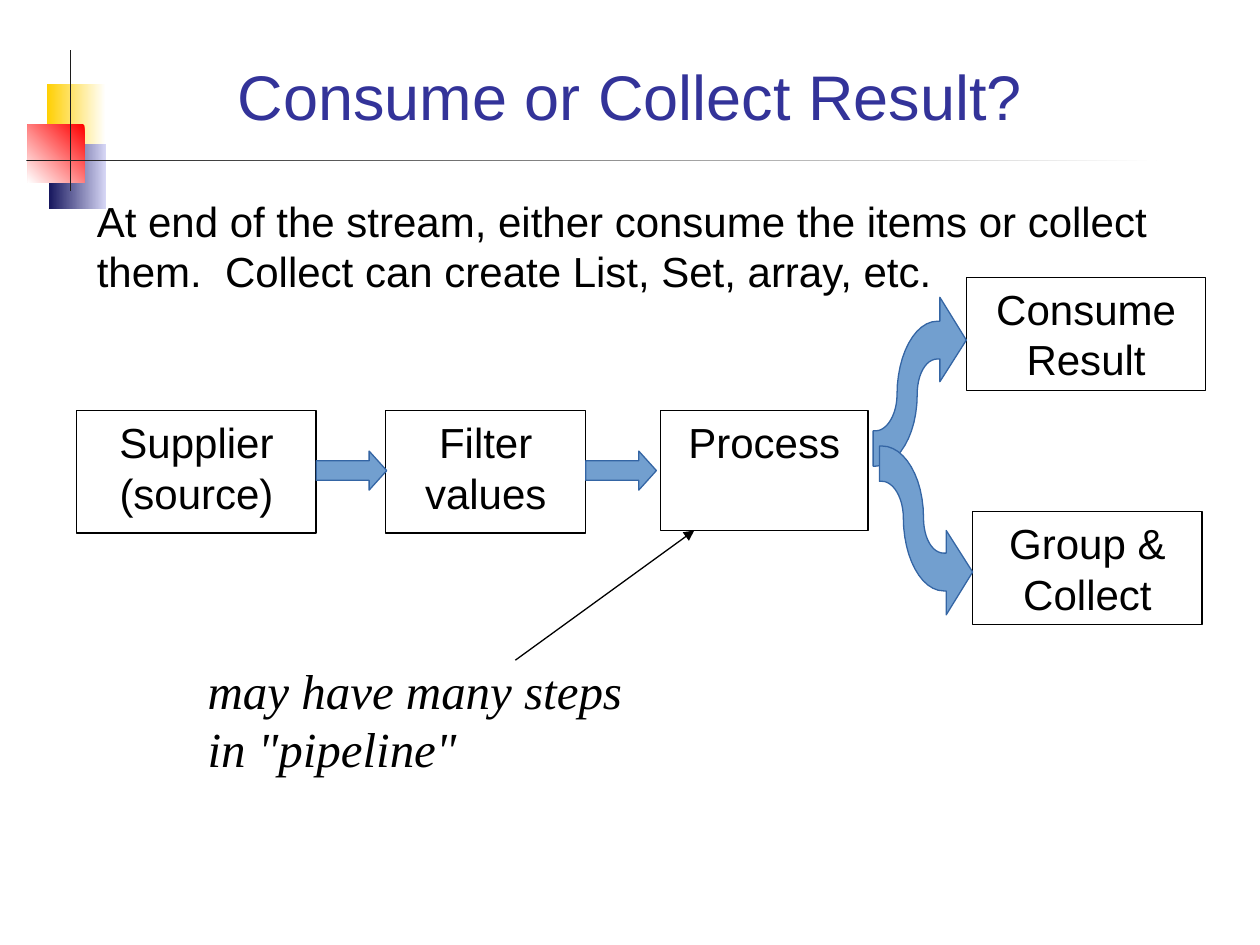
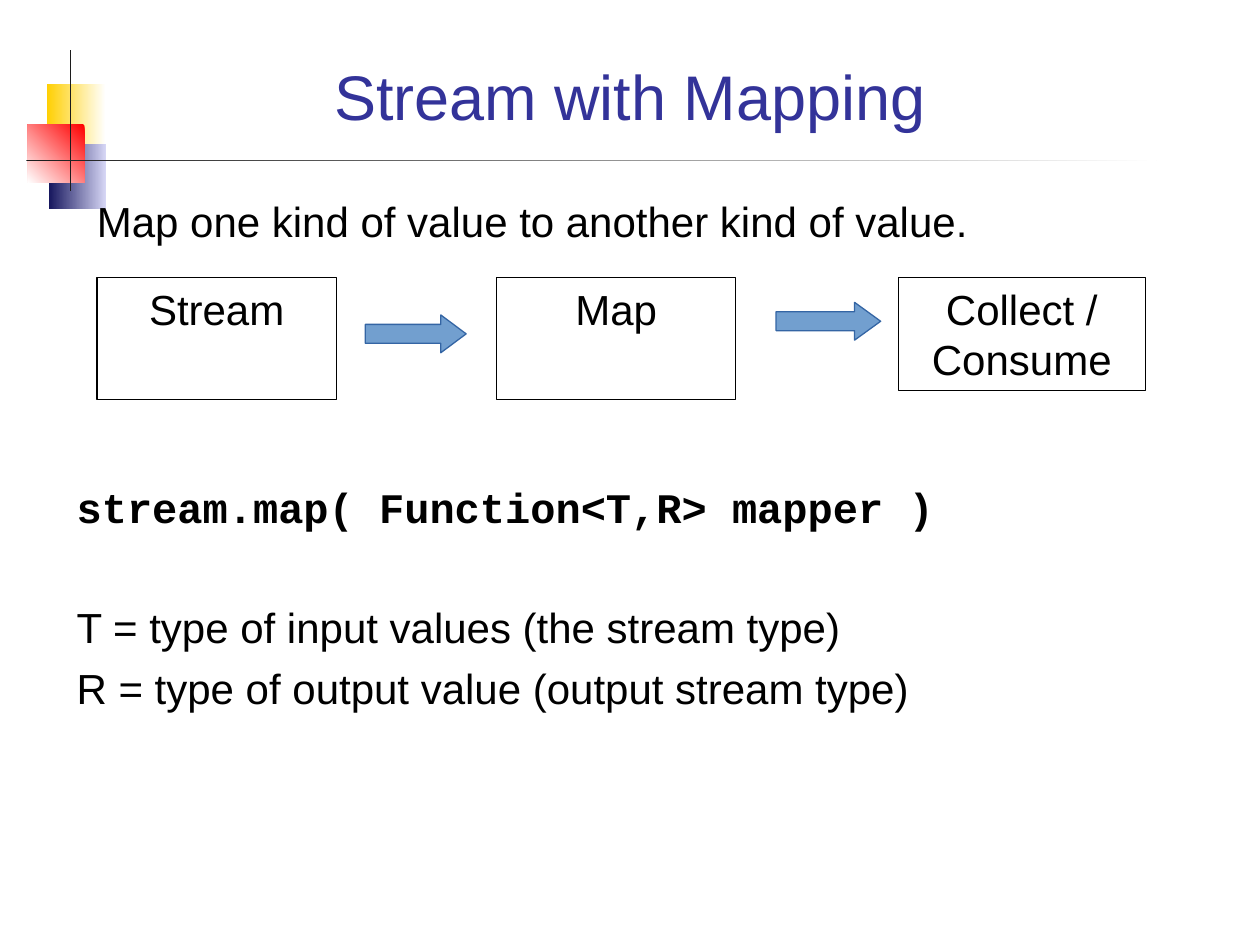
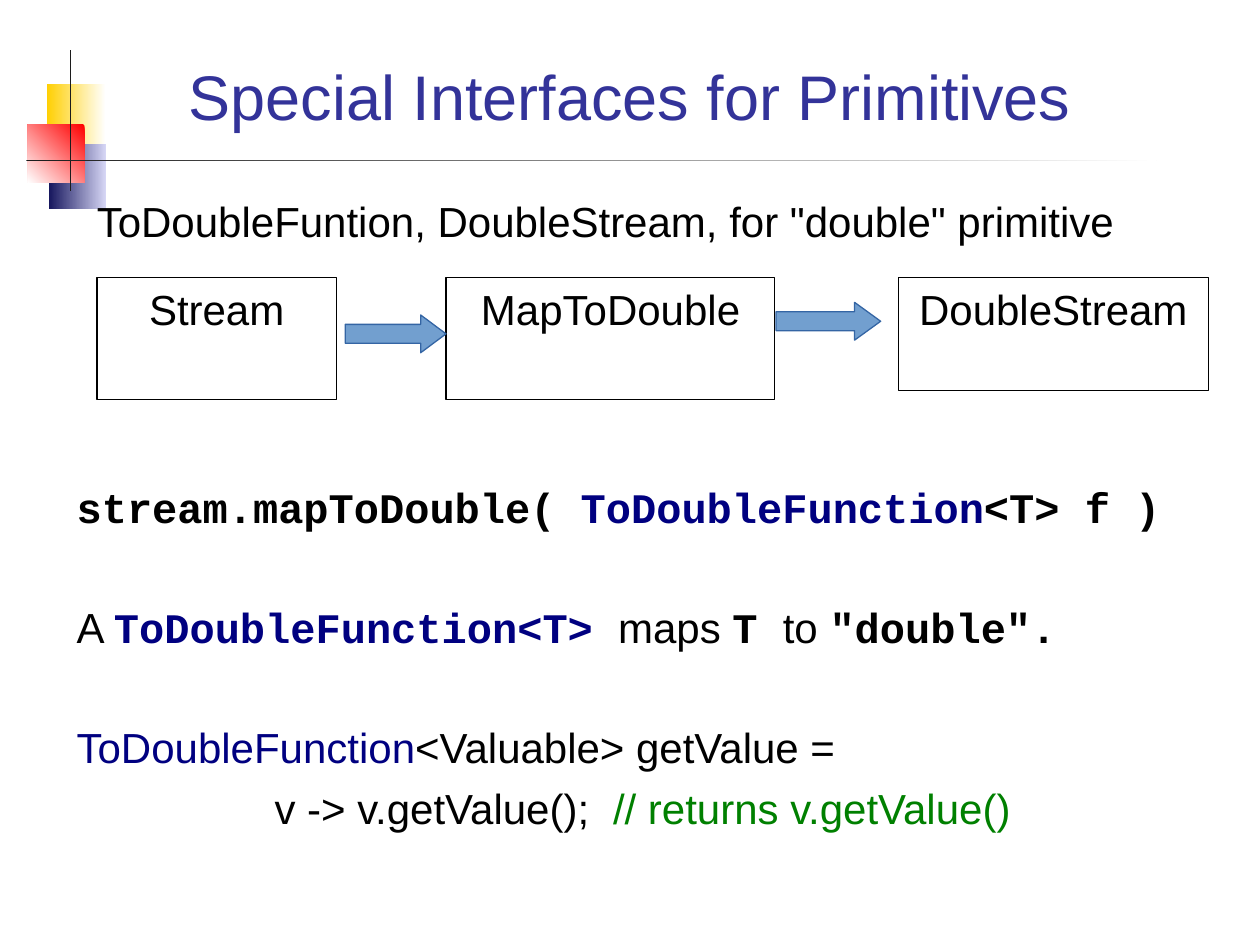
"""Build three slides about stream pipelines, mapping and primitive interfaces."""
import pptx
import pptx.dml.color
import pptx.enum.shapes
import pptx.enum.text
import pptx.oxml.xmlchemy
import pptx.util

Inches = pptx.util.Inches
Pt = pptx.util.Pt
SHAPE = pptx.enum.shapes.MSO_SHAPE
ALIGN = pptx.enum.text.PP_ALIGN
ANCHOR = pptx.enum.text.MSO_ANCHOR

COLORS = {
    "title": "333399", "text": "000000", "type": "000080", "comment": "008000",
    "arrow": "729FCF", "arrow_edge": "3465A4", "rule": "1C1C1C", "white": "FFFFFF",
    "yellow": "FFCF01", "navy": "17175E", "lavender": "D6D6F5", "red": "FF0000",
}
CODE = {"font": "Courier New", "bold": True}
TYPE = {"color": "type"}
TITLE_ONLY = 5


def rgb(name):
    """Return the named colour."""
    return pptx.dml.color.RGBColor.from_string(COLORS[name])


def write_text(box, paragraphs, font="Arial", size=24, color="text", bold=False,
               italic=False, align=ALIGN.LEFT, anchor=ANCHOR.TOP, gaps=()):
    """Fill a box with paragraphs, each a string or a list of (text, format) spans."""
    frame = box.text_frame
    frame.word_wrap = True
    frame.vertical_anchor = anchor
    frame.margin_left = frame.margin_right = Inches(0.1)
    frame.margin_top = frame.margin_bottom = Inches(0.05)
    for index, spans in enumerate(paragraphs):
        para = frame.add_paragraph() if index else frame.paragraphs[0]
        para.alignment = align
        para.space_before = Pt(gaps[index - 1] if index and gaps else 0)
        for text, change in [(spans, {})] if isinstance(spans, str) else spans:
            style = {"font": font, "color": color, "bold": bold, **change}
            span = para.add_run()
            span.text = text
            span.font.name = style["font"]
            span.font.size = Pt(size)
            span.font.bold = style["bold"]
            span.font.italic = italic
            span.font.color.rgb = rgb(style["color"])


def curve(start, control_1, control_2, end, steps=12):
    """Return points along a cubic curve, without its start."""
    points = []
    for step in range(1, steps + 1):
        t = step / steps
        weights = ((1 - t) ** 3, 3 * t * (1 - t) ** 2, 3 * t * t * (1 - t), t ** 3)
        corners = (start, control_1, control_2, end)
        points.append(tuple(sum(w * corner[axis] for w, corner in zip(weights, corners))
                            for axis in (0, 1)))
    return points


BENT_ARROW = [
    (0.51, 0.19),
    *curve((0.51, 0.19), (0.33, 0.19), (0.19, 0.46), (0.19, 0.77)),
    *curve((0.19, 0.77), (0.19, 0.93), (0.11, 1.06), (0.02, 1.06)),
    (0, 1.06), (0, 1.34), (0.02, 1.34),
    *curve((0.02, 1.34), (0.2, 1.34), (0.35, 1.09), (0.35, 0.77)),
    *curve((0.35, 0.77), (0.35, 0.61), (0.42, 0.49), (0.51, 0.49)),
    (0.53, 0.49), (0.53, 0.67), (0.74, 0.34), (0.53, 0), (0.53, 0.19),
]


class StreamDeck:
    """Holds the deck, its style and the current page."""

    def __init__(self):
        """Start an empty deck."""
        self.deck = pptx.Presentation()
        self.deck.slide_width = Inches(10)
        self.deck.slide_height = Inches(7.5)
        self.page = None

    def add_page(self, title):
        """Start a page with its title and corner ornament."""
        self.page = self.deck.slides.add_slide(self.deck.slide_layouts[TITLE_ONLY])
        box = self.page.shapes.title
        box.left, box.top, box.width, box.height = map(Inches, (0.67, 0.28, 8.66, 0.95))
        write_text(box, [title], size=36, color="title", align=ALIGN.CENTER,
                   anchor=ANCHOR.MIDDLE)
        self.gradient(0.37, 0.67, 0.47, 0.52, "yellow", "white")
        self.gradient(0.39, 1.14, 0.45, 0.52, "navy", "lavender")
        self.gradient(0.22, 0.99, 0.45, 0.46, "red", "white", angle=225)
        self.line((0.56, 0.4), (0.56, 1.52), color="rule", width=0.25)
        self.gradient(0.21, 1.27, 8.97, 0.01, "rule", "white")

    def shape(self, kind, left, top, width, height):
        """Add a preset shape without shadow."""
        shape = self.page.shapes.add_shape(kind, *map(Inches, (left, top, width, height)))
        shape.shadow.inherit = False
        return shape

    def gradient(self, left, top, width, height, first, last, angle=0):
        """Add a borderless rectangle that fades between two colours."""
        shape = self.shape(SHAPE.RECTANGLE, left, top, width, height)
        shape.line.fill.background()
        shape.fill.gradient()
        shape.fill.gradient_angle = angle
        for stop, name in zip(shape.fill.gradient_stops, (first, last)):
            stop.color.rgb = rgb(name)

    def line(self, start, end, color="text", width=0.75, arrow=False):
        """Add a straight line, with an arrowhead at its end if wanted."""
        points = map(Inches, (*start, *end))
        line = self.page.shapes.add_connector(
            pptx.enum.shapes.MSO_CONNECTOR.STRAIGHT, *points)
        line.line.color.rgb = rgb(color)
        line.line.width = Pt(width)
        if arrow:
            head = pptx.oxml.xmlchemy.OxmlElement("a:tailEnd")
            head.set("type", "triangle")
            line.get_or_add_ln().append(head)
        line._element.spPr.append(pptx.oxml.xmlchemy.OxmlElement("a:effectLst"))

    def stage(self, left, top, width, height, *lines):
        """Add an outlined box that names one stage of the stream."""
        box = self.shape(SHAPE.RECTANGLE, left, top, width, height)
        box.fill.background()
        box.line.color.rgb = rgb("text")
        box.line.width = Pt(0.75)
        write_text(box, lines, align=ALIGN.CENTER)

    def paint_arrow(self, arrow):
        """Give an arrow its fill and edge."""
        arrow.fill.solid()
        arrow.fill.fore_color.rgb = rgb("arrow")
        arrow.line.color.rgb = rgb("arrow_edge")
        arrow.line.width = Pt(0.75)

    def arrow(self, left, top, width, height, head):
        """Add a block arrow pointing right."""
        arrow = self.shape(SHAPE.RIGHT_ARROW, left, top, width, height)
        arrow.adjustments[1] = head
        self.paint_arrow(arrow)

    def bent_arrow(self, left, top, down=False):
        """Add a curved arrow that bends up, or down when asked."""
        points = [(Inches(left + x), Inches(top + (1.34 - y if down else y)))
                  for x, y in BENT_ARROW]
        builder = self.page.shapes.build_freeform(*points[0], scale=1.0)
        builder.add_line_segments(points[1:], close=True)
        arrow = builder.convert_to_shape()
        arrow.shadow.inherit = False
        self.paint_arrow(arrow)

    def text(self, left, top, width, height, *paragraphs, **style):
        """Add a text box."""
        box = self.page.shapes.add_textbox(*map(Inches, (left, top, width, height)))
        write_text(box, paragraphs, **style)

    def intro(self, text, height=0.7):
        """Add the sentence under the title."""
        self.text(0.67, 1.5, 9.03, height, text)

    def explanation(self, *paragraphs, gaps):
        """Add the code and its explanation in the lower half."""
        self.text(0.51, 3.77, 9.03, 3.33, *paragraphs, gaps=gaps)

    def mapping_flow(self, middle, last, arrow_left):
        """Add a row of three stages joined by two arrows."""
        self.stage(0.77, 2.2, 1.9, 0.97, "Stream")
        self.stage(*middle)
        self.stage(*last)
        self.arrow(arrow_left, 2.5, 0.8, 0.3, 0.67)
        self.arrow(6.16, 2.4, 0.83, 0.3, 0.69)


def add_result_page(show):
    """Add the page on consuming or collecting a result."""
    show.add_page("Consume or Collect Result?")
    show.intro("At end of the stream, either consume the items or collect them.  "
               "Collect can create List, Set, array, etc.", height=1.18)
    show.stage(0.61, 3.26, 1.9, 0.97, "Supplier", "(source)")
    show.stage(3.06, 3.26, 1.59, 0.97, "Filter", "values")
    show.stage(5.24, 3.26, 1.65, 0.95, "Process")
    show.stage(7.67, 2.2, 1.9, 0.9, "Consume Result")
    show.stage(7.72, 4.06, 1.82, 0.9, "Group & Collect")
    for left in (2.51, 4.65):
        show.arrow(left, 3.58, 0.56, 0.31, 0.45)
    show.text(1.55, 5.19, 3.73, 0.57, 'may have many steps in "pipeline"',
              font="Times New Roman", size=28, italic=True)
    show.line((4.09, 5.24), (5.51, 4.21), arrow=True)
    show.bent_arrow(6.93, 2.36)
    show.bent_arrow(6.98, 3.54, down=True)


def add_mapping_page(show):
    """Add the page on mapping a stream."""
    show.add_page("Stream with Mapping")
    show.intro("Map one kind of value to another kind of value.")
    show.mapping_flow((3.94, 2.2, 1.9, 0.97, "Map"),
                      (7.13, 2.2, 1.96, 0.9, "Collect /", "Consume"), arrow_left=2.9)
    show.explanation(
        [("stream.map( Function<T,R> mapper )", CODE)],
        "T = type of input values (the stream type)",
        "R = type of output value (output stream type)",
        gaps=(40, 6))


def add_primitives_page(show):
    """Add the page on interfaces for primitives."""
    show.add_page("Special Interfaces for Primitives")
    show.intro('ToDoubleFuntion, DoubleStream, for "double" primitive')
    show.mapping_flow((3.54, 2.2, 2.61, 0.97, "MapToDouble"),
                      (7.13, 2.2, 2.46, 0.9, "DoubleStream"), arrow_left=2.74)
    show.explanation(
        [("stream.mapToDouble( ", CODE), ("ToDoubleFunction", {**CODE, **TYPE}),
         ("<T> f )", CODE)],
        [("A ", {}), ("ToDoubleFunction<T> ", {**CODE, **TYPE}), ("maps ", {}),
         ("T ", CODE), ("to ", {}), ('"double".', CODE)],
        [("ToDoubleFunction", TYPE), ("<Valuable> getValue =", {})],
        [("                 v -> v.getValue();  ", {}),
         ("// returns v.getValue()", {"color": "comment"})],
        gaps=(40, 40, 6))


def main():
    """Build and save the deck."""
    show = StreamDeck()
    add_result_page(show)
    add_mapping_page(show)
    add_primitives_page(show)
    show.deck.save("out.pptx")


if __name__ == "__main__":
    main()
